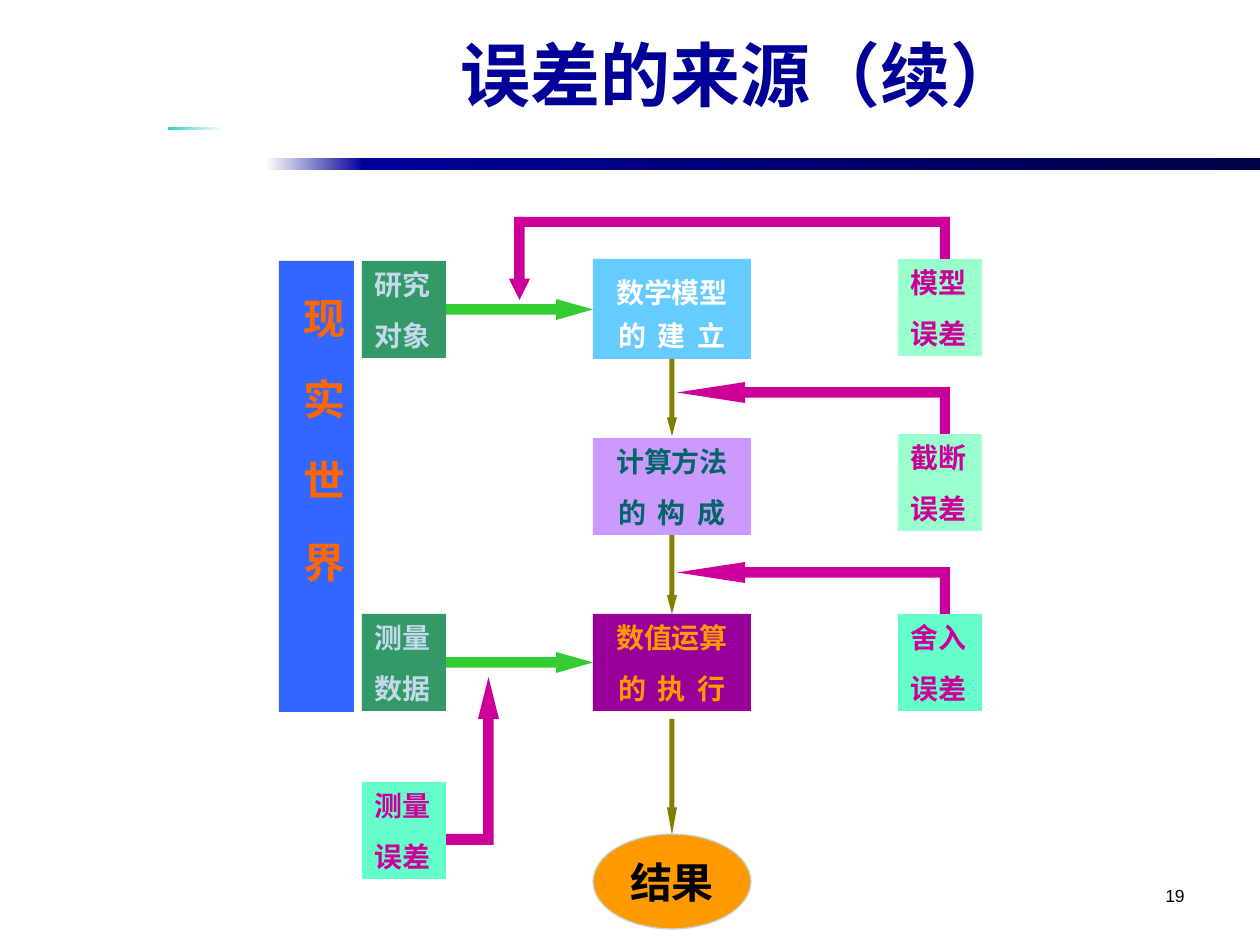
from dataclasses import dataclass

from pptx import Presentation
from pptx import util as u
from pptx.dml.color import RGBColor
from pptx.enum import shapes, text

EMU_PER_PX = 914400 / 126
KIND = shapes.MSO_SHAPE
ALIGN = text.PP_ALIGN


@dataclass(frozen=True)
class Theme:
    """Colours, fonts and type sizes of the slide."""

    heading_font: str = "Arial"
    body_font: str = "Times New Roman"
    title_size: int = 40
    large_size: int = 24
    label_size: int = 16
    number_size: int = 10
    navy: str = "000099"
    midnight: str = "000047"
    white: str = "FFFFFF"
    black: str = "000000"
    teal: str = "33CCCC"
    world: str = "3366FF"
    world_text: str = "FF6600"
    source: str = "339966"
    source_text: str = "C5D9ED"
    model: str = "66CCFF"
    method: str = "CC99FF"
    method_text: str = "006666"
    execution: str = "990099"
    orange: str = "FF9900"
    mint: str = "99FFCC"
    aqua: str = "66FFCC"
    error: str = "CC0099"
    input_arrow: str = "33CC33"
    flow_arrow: str = "808000"


THEME = Theme()


def px(length):
    """Turn px into EMU."""
    return u.Emu(round(length * EMU_PER_PX))


def within(box, left, top, width, height):
    """Shift a rectangle from the box's own origin to the page."""
    return box[0] + left, box[1] + top, width, height


def add_block(page, box, fill, kind=KIND.RECTANGLE, head=None):
    """Add a flat shape; head is the arrowhead's length ratio."""
    block = page.shapes.add_shape(kind, *map(px, box))
    block.shadow.inherit = False
    block.line.fill.background()
    block.fill.solid()
    block.fill.fore_color.rgb = RGBColor.from_string(fill)
    if head:
        block.adjustments[0] = 0.5
        block.adjustments[1] = head
    return block


def add_fade(page, box, start, end):
    """Add a bar that fades from left to right."""
    bar = add_block(page, box, start)
    bar.fill.gradient()
    bar.fill.gradient_angle = 0
    for stop, color in zip(bar.fill.gradient_stops, (start, end)):
        stop.color.rgb = RGBColor.from_string(color)


def write(shape, lines, size, color, align=ALIGN.LEFT, font=THEME.body_font,
          bold=True, anchor=text.MSO_ANCHOR.TOP, gap=0):
    """Write one paragraph per line and format its runs."""
    frame = shape.text_frame
    frame.word_wrap = True
    frame.vertical_anchor = anchor
    frame.text = "\n".join(lines)
    for para in frame.paragraphs:
        para.alignment = align
        para.space_before = u.Pt(gap)
        for span in para.runs:
            span.font.size = u.Pt(size)
            span.font.name = font
            span.font.bold = bold
            span.font.color.rgb = RGBColor.from_string(color)
    return frame


def track(para, points):
    """Widen the letter spacing of a paragraph."""
    for span in para.runs:
        span.font._element.set("spc", str(round(points * 100)))


def label(page, box, lines, fill, color, align=ALIGN.LEFT):
    """Add a filled box with a two-line label."""
    block = add_block(page, box, fill)
    return write(block, lines, THEME.label_size, color, align, gap=10)


def draw_header(page, box):
    """Place the title and the fading rules under it."""
    title = page.shapes.add_textbox(*map(px, within(box, 221, 0, 1039, 147)))
    write(title, ["误差的来源（续）"], THEME.title_size, THEME.navy, ALIGN.CENTER,
          THEME.heading_font, anchor=text.MSO_ANCHOR.MIDDLE)
    add_fade(page, within(box, 266, 158, 98, 12), THEME.white, THEME.navy)
    add_fade(page, within(box, 363, 158, 897, 12), THEME.navy, THEME.midnight)
    add_fade(page, within(box, 168, 127, 55, 3), THEME.teal, THEME.white)


def draw_world(page, box):
    """Place the real-world column with its sources and input arrows."""
    column = add_block(page, within(box, 0, 0, 75, 451), THEME.world)
    frame = write(column, ["现实世界"], THEME.large_size, THEME.world_text, ALIGN.CENTER)
    frame.margin_left = frame.margin_right = px(6)
    frame.margin_top, frame.margin_bottom = px(37), px(13)
    frame._txBody.bodyPr.set("vert", "eaVert")
    track(frame.paragraphs[0], 22.3)
    sources = [(0, 38, ["研究", "对象"]), (353, 38, ["测量", "数据"])]
    for top, drop, lines in sources:
        label(page, within(box, 83, top, 84, 97), lines, THEME.source, THEME.source_text)
        add_block(page, within(box, 167, top + drop, 147, 21), THEME.input_arrow,
                  KIND.RIGHT_ARROW, 1.75)


def draw_stages(page, box):
    """Place the chain of computing stages down to the result."""
    stages = [
        (0, 100, ["数学模型", "的 建 立"], THEME.model, THEME.white),
        (179, 97, ["计算方法", "的 构 成"], THEME.method, THEME.method_text),
        (355, 97, ["数值运算", "的 执 行"], THEME.execution, THEME.orange),
    ]
    frames = []
    for top, height, lines, fill, color in stages:
        frame = label(page, within(box, 0, top, 158, height), lines, fill, color, ALIGN.CENTER)
        track(frame.paragraphs[1], 1.5)
        frames.append(frame)
    for para in frames[0].paragraphs:
        para.line_spacing = 1.3
        para.space_before = u.Pt(0)
    for top, height, head in [(100, 77, 1.84), (276, 79, 1.88), (460, 116, 2.75)]:
        add_block(page, within(box, 74, top, 10, height), THEME.flow_arrow,
                  KIND.DOWN_ARROW, head)
    result = add_block(page, within(box, 0, 575, 158, 95), THEME.orange, KIND.OVAL)
    result.line.color.rgb = RGBColor.from_string(THEME.source_text)
    result.line.width = u.Pt(0)
    write(result, ["结果"], THEME.large_size, THEME.black, ALIGN.CENTER,
          anchor=text.MSO_ANCHOR.MIDDLE)


def draw_errors(page, box):
    """Place the right-hand error labels and their bent arrows."""
    errors = [(42, "模型", THEME.mint), (217, "截断", THEME.mint), (397, "舍入", THEME.aqua)]
    for top, name, fill in errors:
        label(page, within(box, 389, top, 84, 97), [name, "误差"], fill, THEME.error)
        add_block(page, within(box, 431, top - 42, 10, 42), THEME.error)
    add_block(page, within(box, 10, 0, 431, 10), THEME.error)
    add_block(page, within(box, 0, 0, 21, 83), THEME.error, KIND.DOWN_ARROW, 1.01)
    for top, _, _ in errors[1:]:
        add_block(page, within(box, 168, top - 52, 273, 21), THEME.error,
                  KIND.LEFT_ARROW, 3.25)


def draw_measurement_error(page, box):
    """Place the measurement error label and its bent arrow."""
    label(page, within(box, 0, 105, 84, 97), ["测量", "误差"], THEME.aqua, THEME.error)
    add_block(page, within(box, 84, 157, 42, 11), THEME.error)
    add_block(page, within(box, 116, 0, 21, 168), THEME.error, KIND.UP_ARROW, 2)


def draw_page_number(page, box):
    """Place the page number at the right of its box."""
    number = page.shapes.add_textbox(*map(px, box))
    write(number, ["19"], THEME.number_size, THEME.black, ALIGN.RIGHT,
          THEME.heading_font, bold=False)


def main():
    """Build the slide and save it."""
    deck = Presentation()
    deck.slide_width, deck.slide_height = px(1260), px(945)
    page = deck.slides.add_slide(deck.slide_layouts[6])
    draw_header(page, (0, 0, 1260, 170))
    draw_world(page, (279, 261, 314, 451))
    draw_stages(page, (593, 259, 158, 670))
    draw_errors(page, (509, 217, 473, 494))
    draw_measurement_error(page, (362, 677, 137, 202))
    draw_page_number(page, (903, 879, 294, 43))
    deck.save("out.pptx")


if __name__ == "__main__":
    main()
